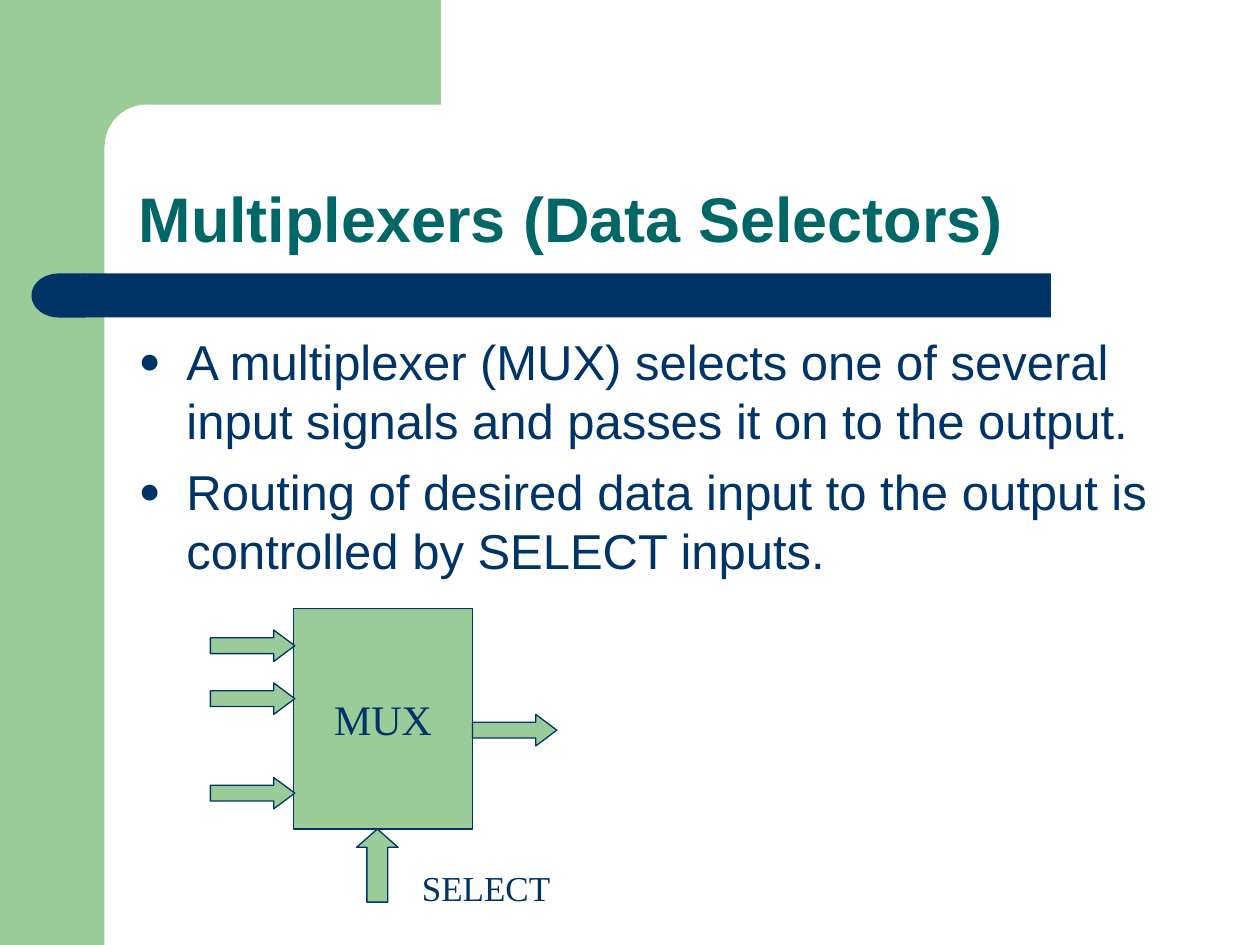
"""Build a slide that introduces multiplexers with a small block diagram."""
from lxml import etree
from pptx import Presentation
from pptx.dml.color import RGBColor
from pptx.enum.shapes import MSO_SHAPE
from pptx.enum.text import MSO_ANCHOR, MSO_AUTO_SIZE, PP_ALIGN
from pptx.oxml.ns import qn
from pptx.util import Inches, Pt

RECT, ROUND = MSO_SHAPE.RECTANGLE, MSO_SHAPE.ROUNDED_RECTANGLE
DELAY = MSO_SHAPE.FLOWCHART_DELAY
RIGHT, UP = MSO_SHAPE.RIGHT_ARROW, MSO_SHAPE.UP_ARROW
LEFT, CENTER = PP_ALIGN.LEFT, PP_ALIGN.CENTER
TOP, MIDDLE, BOTTOM = MSO_ANCHOR.TOP, MSO_ANCHOR.MIDDLE, MSO_ANCHOR.BOTTOM
NO_FIT = MSO_AUTO_SIZE.NONE
GREEN, NAVY, TEAL, WHITE = "99CC99", "003366", "006666", "FFFFFF"


def add_block(kind, box, fill, line=None, adjust=()):
    """Add a filled shape at box (left, top, width, height in inches)."""
    sp = s.shapes.add_shape(kind, *map(Inches, box))
    sp.shadow.inherit = False
    sp.fill.solid()
    sp.fill.fore_color.rgb = RGBColor.from_string(fill)
    if line:
        sp.line.color.rgb = RGBColor.from_string(line)
        sp.line.width = Pt(0.75)
    else:
        sp.line.fill.background()
    for i, value in enumerate(adjust):
        sp.adjustments[i] = value
    return sp


def write(sp, lines, font, size, color, anchor=TOP, align=LEFT, bold=False, wrap=True):
    """Fill a shape with formatted paragraphs."""
    tf = sp.text_frame
    tf.text = "\n".join(lines)
    tf.auto_size = NO_FIT
    tf.word_wrap = wrap
    tf.vertical_anchor = anchor
    for p in tf.paragraphs:
        p.alignment = align
        p.space_before = Pt(0)
        for r in p.runs:
            r.font.name = font
            r.font.size = Pt(size)
            r.font.bold = bold
            r.font.color.rgb = RGBColor.from_string(color)


prs = Presentation()
prs.slide_width, prs.slide_height = Inches(10), Inches(7.5)
s = prs.slides.add_slide(prs.slide_layouts[1])

add_block(RECT, (0, 0, 0.83, 7.5), GREEN)
add_block(RECT, (0.75, 0, 2.75, 1.17), GREEN)
add_block(ROUND, (0.83, 0.83, 5.58, 0.67), WHITE, adjust=[0.5])
add_block(RECT, (0.67, 2.17, 7.67, 0.35), NAVY)
add_block(DELAY, (0.25, 2.17, 0.43, 0.35), NAVY).rotation = 180

title, body = s.shapes.title, s.placeholders[1]
for sp, top, height in [(title, 0.83, 1.25), (body, 2.58, 4.08)]:
    sp.left, sp.top = Inches(1), Inches(top)
    sp.width, sp.height = Inches(8.75), Inches(height)
    s.shapes._spTree.append(sp._element)

write(title, ["Multiplexers (Data Selectors)"], "Arial", 36, TEAL, BOTTOM, bold=True)
title.text_frame.paragraphs[0].line_spacing = 0.9

write(body, [
    "A multiplexer (MUX) selects one of several input signals and passes it on to the output.",
    "Routing of desired data input to the output is controlled by SELECT inputs.",
], "Arial", 28, NAVY)
for i, p in enumerate(body.text_frame.paragraphs):
    p.space_before = Pt(7 if i else 0)
    pPr = p._p.get_or_add_pPr()
    pPr.set("marL", str(Inches(0.38)))
    pPr.set("indent", str(Inches(-0.38)))
    color = etree.SubElement(pPr, qn("a:buClr"))
    etree.SubElement(color, qn("a:srgbClr"), val=NAVY)
    etree.SubElement(pPr, qn("a:buSzPct"), val="75000")
    etree.SubElement(pPr, qn("a:buFont"), typeface="Arial")
    etree.SubElement(pPr, qn("a:buChar"), char="●")

mux = add_block(RECT, (2.33, 4.83, 1.42, 1.75), GREEN, NAVY)
write(mux, ["MUX"], "Times New Roman", 24, NAVY, MIDDLE, CENTER, wrap=False)

for left, top in [(1.67, 5), (1.67, 5.42), (1.67, 6.17), (3.75, 5.67)]:
    add_block(RIGHT, (left, top, 0.67, 0.25), GREEN, NAVY, [0.5, 0.67])
add_block(UP, (2.83, 6.58, 0.33, 0.58), GREEN, NAVY, [0.5, 0.44])

label = s.shapes.add_textbox(Inches(3.25), Inches(6.83), Inches(1.43), Inches(0.44))
write(label, ["SELECT"], "Times New Roman", 20, NAVY)

prs.save("out.pptx")
